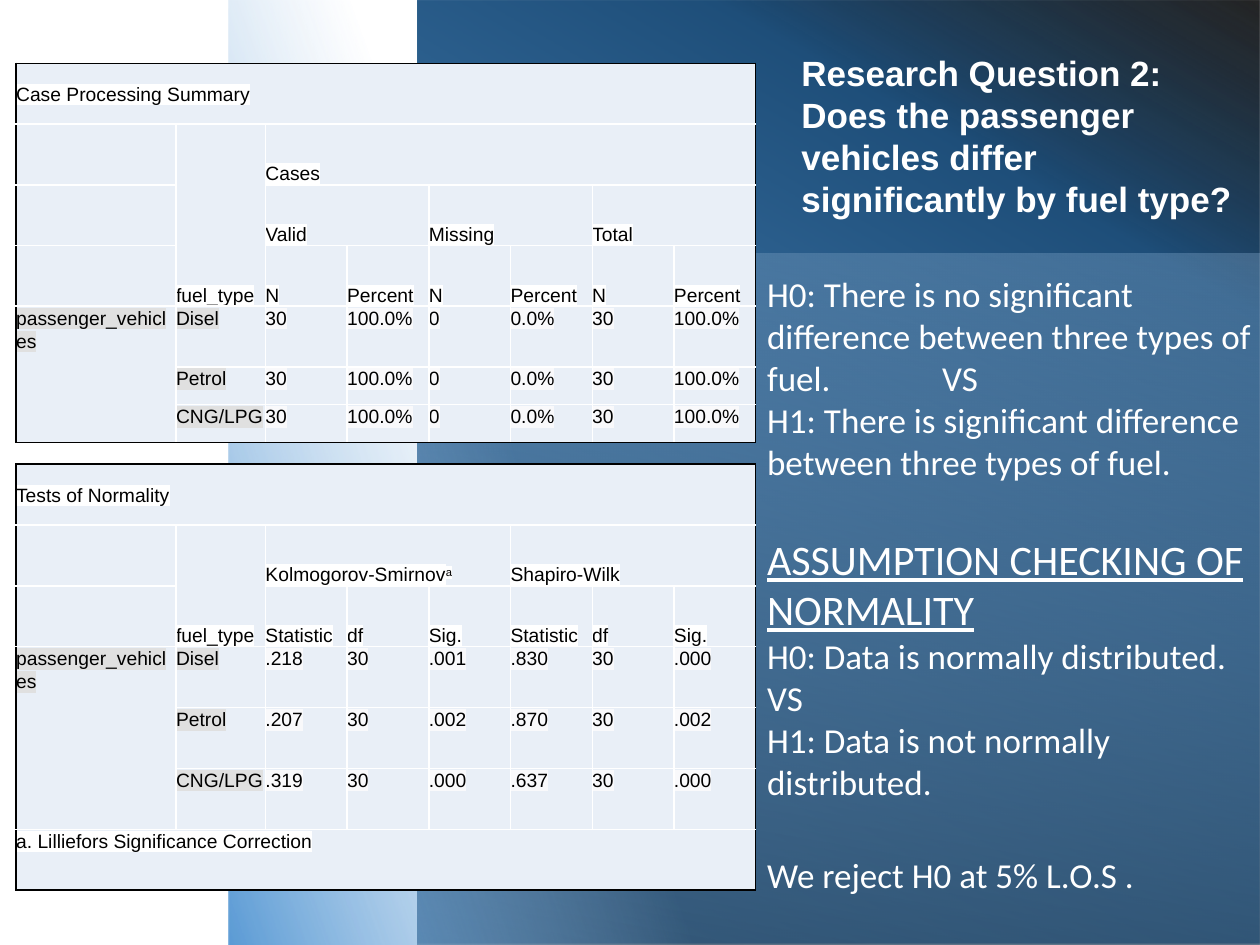
from lxml import etree
from pptx import Presentation
from pptx.dml.color import RGBColor
from pptx.enum.shapes import MSO_SHAPE
from pptx.enum.text import MSO_ANCHOR, MSO_AUTO_SIZE, PP_ALIGN
from pptx.oxml.ns import qn
from pptx.util import Pt

RECTANGLE = MSO_SHAPE.RECTANGLE
TOP, MIDDLE, BOTTOM = MSO_ANCHOR.TOP, MSO_ANCHOR.MIDDLE, MSO_ANCHOR.BOTTOM
LEFT = PP_ALIGN.LEFT
NO_AUTOFIT = MSO_AUTO_SIZE.NONE

BLACK, WHITE, CELL_FILL = "000000", "FFFFFF", "E9EFF7"
LABEL_MARK, VALUE_MARK = "E0E0E0", "F9F9FB"

# Content
TITLE = "Research Question 2: Does the passenger vehicles differ significantly by fuel type?"

# text, size, underline, space before
HYPOTHESES = [
    ("H0: There is no significant difference between three types of fuel.\tVS\v"
     "H1: There is significant difference between three types of fuel.", 20, False, 0),
    ("ASSUMPTION CHECKING OF NORMALITY", 24, True, 29.3),
    ("H0: Data is normally distributed.", 20, False, 0),
    ("VS", 20, False, 0),
    ("H1: Data is not normally distributed.", 20, False, 0),
    ("We reject H0 at 5% L.O.S .", 20, False, 29.3),
]

# Spans are row, column, rows, columns; "^" starts a superscript
CASE_SUMMARY = {
    "top": 36.2,
    "heights": [34.7] * 5 + [21.6] * 2,
    "header_rows": 4,
    "spans": [(0, 0, 1, 8), (1, 1, 3, 1), (1, 2, 1, 6), (2, 2, 1, 2),
              (2, 4, 1, 2), (2, 6, 1, 2), (4, 0, 3, 1)],
    "rows": [
        ["Case Processing Summary"],
        ["", "fuel_type", "Cases"],
        ["", "", "Valid", "", "Missing", "", "Total"],
        ["", "", "N", "Percent", "N", "Percent", "N", "Percent"],
        ["passenger_vehicles", "Disel", "30", "100.0%", "0", "0.0%", "30", "100.0%"],
        ["", "Petrol", "30", "100.0%", "0", "0.0%", "30", "100.0%"],
        ["", "CNG/LPG", "30", "100.0%", "0", "0.0%", "30", "100.0%"],
    ],
}
NORMALITY_TESTS = {
    "top": 265.2,
    "heights": [34.8] * 7,
    "header_rows": 3,
    "spans": [(0, 0, 1, 8), (1, 1, 2, 1), (1, 2, 1, 3), (1, 5, 1, 3),
              (3, 0, 3, 1), (6, 0, 1, 8)],
    "rows": [
        ["Tests of Normality"],
        ["", "fuel_type", "Kolmogorov-Smirnov^a", "", "", "Shapiro-Wilk"],
        ["", "", "Statistic", "df", "Sig.", "Statistic", "df", "Sig."],
        ["passenger_vehicles", "Disel", ".218", "30", ".001", ".830", "30", ".000"],
        ["", "Petrol", ".207", "30", ".002", ".870", "30", ".002"],
        ["", "CNG/LPG", ".319", "30", ".000", ".637", "30", ".000"],
        ["a. Lilliefors Significance Correction"],
    ],
}
TABLE_LEFT = 9.2
COLUMN_WIDTHS = [91.4, 51.1] + [46.7] * 6

# Left, top, width, height, rotation, flipped, angle, stops (position, colour, opacity)
BACKDROPS = [
    (238.3, 0, 481.7, 540, 0, False, 300,
     [(0, "5B9BD5", 100), (2, "5B9BD5", 100), (78, "1E4E79", 100), (100, BLACK, 85)]),
    (238.3, 144.7, 481.7, 395.3, 0, True, 80,
     [(0, "9CC2E5", 30), (100, BLACK, 44)]),
    (65.3, 65.5, 540, 409, 90, True, 110,
     [(0, "9CC2E5", 0), (56, "9CC2E5", 0), (100, "5B9BD5", 100)]),
]


def color(hex_text):
    return RGBColor.from_string(hex_text)


def add_element(parent, tag, **attributes):
    element = etree.SubElement(parent, qn(tag))
    for name, value in attributes.items():
        element.set(name, str(value))
    return element


def style_run(span, font, size, hex_text, bold=False, underline=False):
    span.font.size = Pt(size)
    span.font.bold = bold
    span.font.underline = underline
    span.font.color.rgb = color(hex_text)
    span.font.name = font


def add_backdrop(page, left, top, width, height, rotation, flipped, angle, stops):
    shape = page.shapes.add_shape(RECTANGLE, Pt(left), Pt(top), Pt(width), Pt(height))
    shape.shadow.inherit = False
    shape.line.fill.background()
    shape.rotation = rotation
    shape.fill.gradient()
    gradient = shape.element.spPr.find(qn("a:gradFill"))
    for child in list(gradient):
        gradient.remove(child)
    stop_list = add_element(gradient, "a:gsLst")
    for position, hex_text, opacity in stops:
        stop = add_element(stop_list, "a:gs", pos=position * 1000)
        shade = add_element(stop, "a:srgbClr", val=hex_text)
        add_element(shade, "a:alpha", val=opacity * 1000)
    add_element(gradient, "a:lin", ang=angle * 60000, scaled=0)
    if flipped:
        shape.element.spPr.find(qn("a:xfrm")).set("flipH", "1")


def set_borders(cell, edge_colors):
    properties = cell._tc.get_or_add_tcPr()
    for index, (side, hex_text) in enumerate(zip("LRTB", edge_colors)):
        line = add_element(properties, f"a:ln{side}", w=12700)
        fill = add_element(line, "a:solidFill")
        add_element(fill, "a:srgbClr", val=hex_text)
        properties.insert(index, line)


def fill_cell(cell, text, highlight):
    para = cell.text_frame.paragraphs[0]
    para.line_spacing = 1.07
    for index, part in enumerate(text.split("^")):
        span = para.add_run()
        span.text = part
        style_run(span, "Arial", 11, BLACK)
        properties = span.font._element
        mark = add_element(properties, "a:highlight")
        add_element(mark, "a:srgbClr", val=highlight)
        properties.insert(1, mark)
        if index:
            properties.set("baseline", "30000")


def add_results_table(page, data):
    rows, heights = data["rows"], data["heights"]
    row_count, column_count = len(rows), len(COLUMN_WIDTHS)
    table = page.shapes.add_table(
        row_count, column_count, Pt(TABLE_LEFT), Pt(data["top"]),
        Pt(sum(COLUMN_WIDTHS)), Pt(sum(heights))).table
    table.first_row = table.horz_banding = False
    for column, width in zip(table.columns, COLUMN_WIDTHS):
        column.width = Pt(width)
    for row, height in zip(table.rows, heights):
        row.height = Pt(height)
    for r, c, tall, wide in data["spans"]:
        table.cell(r, c).merge(table.cell(r + tall - 1, c + wide - 1))

    for r in range(row_count):
        for c in range(column_count):
            cell = table.cell(r, c)
            cell.fill.solid()
            cell.fill.fore_color.rgb = color(CELL_FILL)
            cell.margin_left = cell.margin_right = cell.margin_top = cell.margin_bottom = 0
            is_header = r < data["header_rows"]
            cell.vertical_anchor = MIDDLE if r == 0 else BOTTOM if is_header else TOP
            # Black around the whole table, white between cells
            tall, wide = (cell.span_height, cell.span_width) if cell.is_merge_origin else (1, 1)
            outer = (c == 0, c + wide == column_count, r == 0, r + tall == row_count)
            set_borders(cell, [BLACK if edge else WHITE for edge in outer])
            text = rows[r][c] if c < len(rows[r]) else ""
            if text:
                is_note = len(rows[r]) == 1
                fill_cell(cell, text, WHITE if is_header or is_note
                          else LABEL_MARK if c < 2 else VALUE_MARK)


def place_text(box, left, top, width, height):
    box.left, box.top, box.width, box.height = Pt(left), Pt(top), Pt(width), Pt(height)
    frame = box.text_frame
    frame.word_wrap = True
    frame.auto_size = NO_AUTOFIT
    frame.vertical_anchor = TOP
    return frame


def main():
    deck = Presentation()
    deck.slide_width, deck.slide_height = Pt(720), Pt(540)
    page = deck.slides.add_slide(deck.slide_layouts[5])

    for backdrop in BACKDROPS:
        add_backdrop(page, *backdrop)
    for data in (CASE_SUMMARY, NORMALITY_TESTS):
        add_results_table(page, data)

    # Title, brought in front of the backdrops
    title = page.shapes.title
    page.shapes._spTree.append(title.element)
    frame = place_text(title, 450.7, 26, 265.7, 128)
    frame.text = TITLE
    frame.paragraphs[0].alignment = LEFT
    style_run(frame.paragraphs[0].runs[0], "Arial", 20, WHITE, bold=True)

    # Hypotheses
    box = page.shapes.add_textbox(0, 0, 0, 0)
    frame = place_text(box, 431.3, 152, 292.3, 395.3)
    for index, (text, size, underline, gap) in enumerate(HYPOTHESES):
        para = frame.add_paragraph() if index else frame.paragraphs[0]
        para.text = text
        para.space_before = Pt(gap)
        if "\t" in text:
            tabs = add_element(para._p.get_or_add_pPr(), "a:tabLst")
            add_element(tabs, "a:tab", pos=Pt(100), algn="l")
        for span in para.runs:
            style_run(span, "Calibri", size, WHITE, underline=underline)

    deck.save("out.pptx")


if __name__ == "__main__":
    main()
